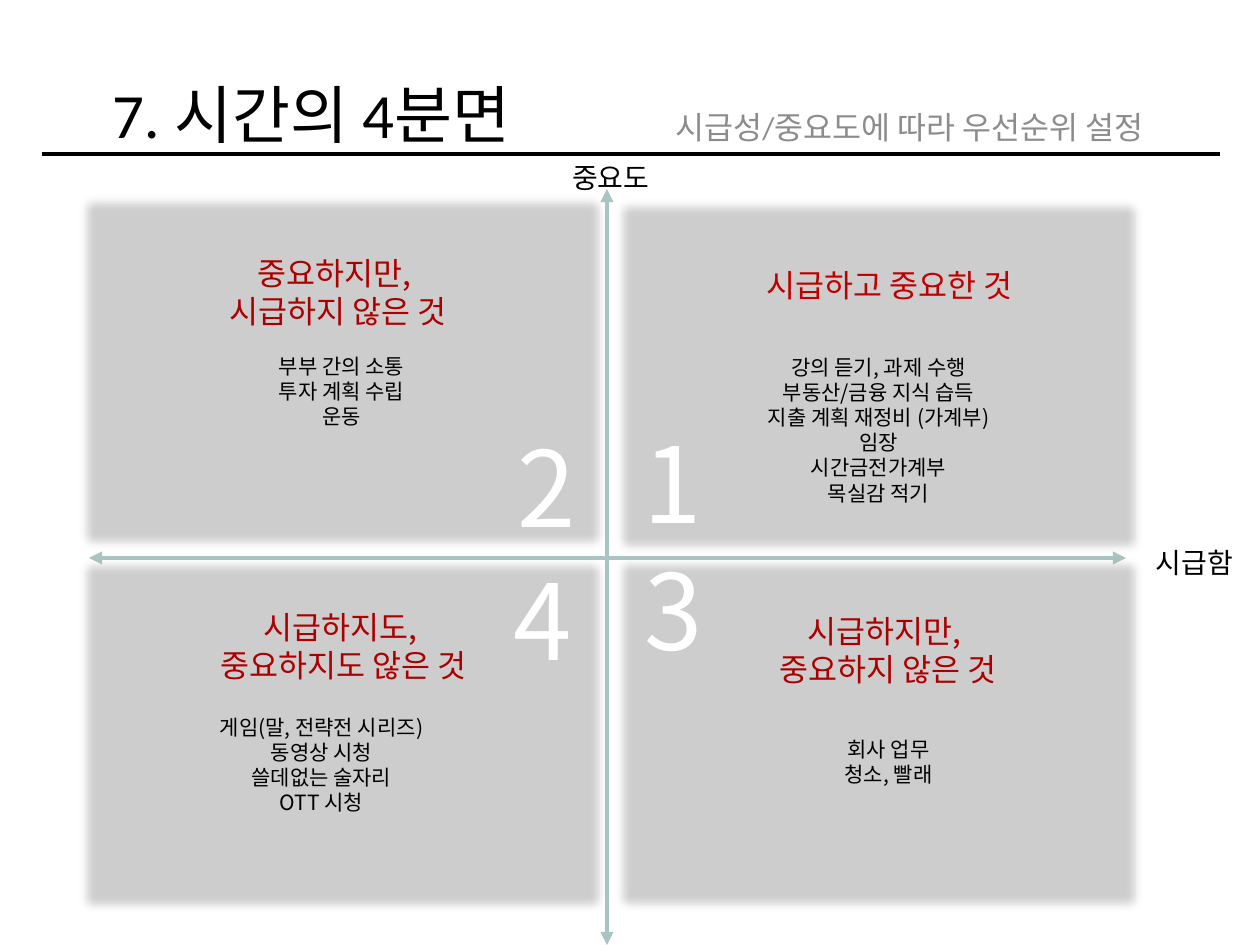
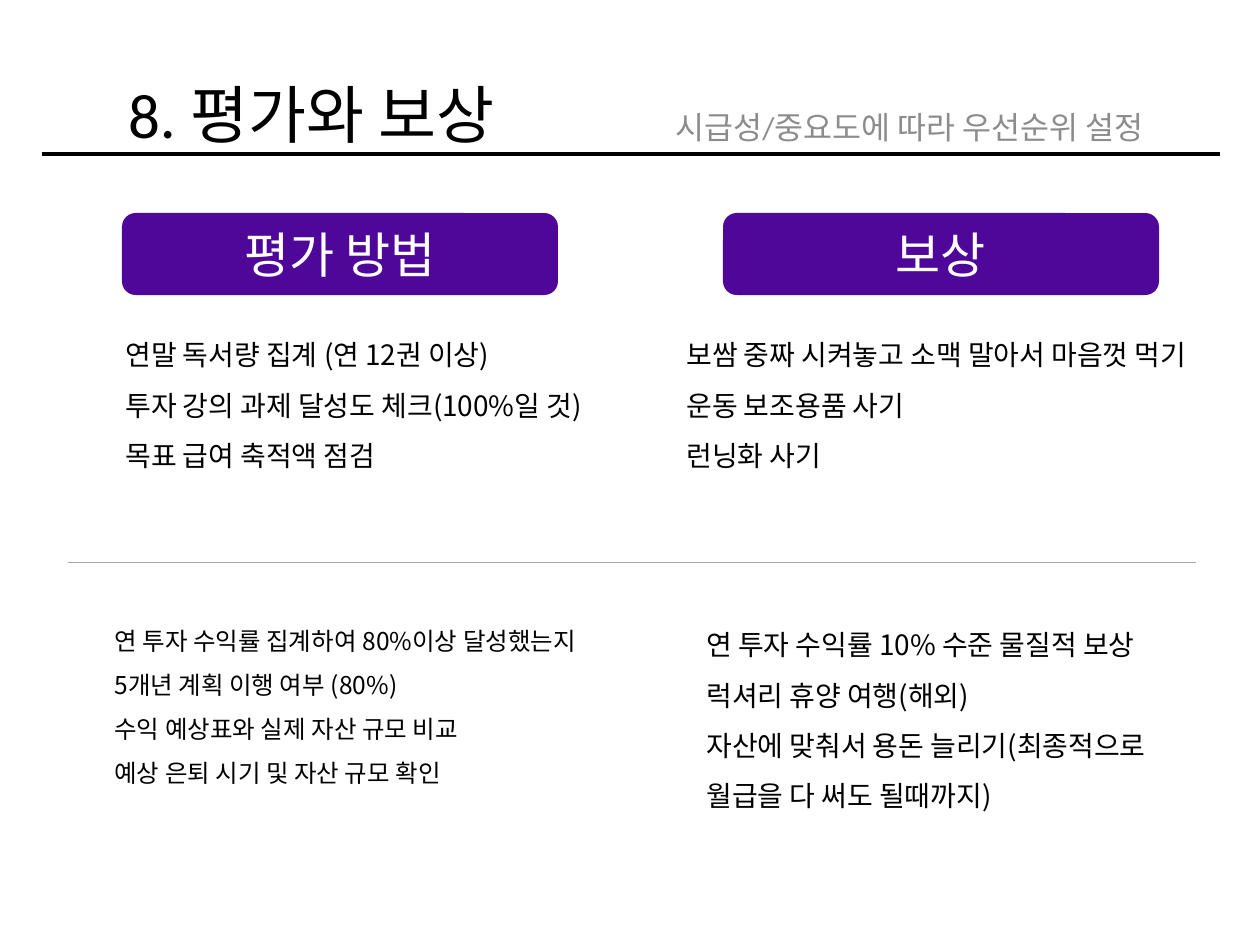
from dataclasses import dataclass
from lxml.etree import SubElement
from pptx import Presentation
from pptx.dml.color import RGBColor
from pptx.enum.shapes import MSO_CONNECTOR, MSO_SHAPE
from pptx.enum.text import MSO_ANCHOR, MSO_AUTO_SIZE, PP_ALIGN
from pptx.oxml.ns import qn
from pptx.util import Emu, Pt


@dataclass(frozen=True)
class Theme:
    title_font: str = "Calibri"
    body_font: str = "Noto Sans CJK KR"
    ink: str = "000000"
    white: str = "FFFFFF"
    muted: str = "8C8C8C"
    gray: str = "A6A6A6"
    axis: str = "AAC3C3"
    purple: str = "4F0799"
    red: str = "AC0000"
    bright_red: str = "C00000"
    title: int = 36
    pill: int = 28
    head: int = 18
    label: int = 16
    small: int = 14
    item: int = 12
    number: int = 60


T = Theme()
PX = 914400 / 126  # EMU in one pixel

# Content
SUBTITLE = "시급성/중요도에 따라 우선순위 설정"
TITLES = ["7. 시간의 4분면", "8. 평가와 보상"]

# Each quadrant: box corner, then text and place of number, head and items
QUADRANTS = [
    dict(box=(615, 199), number="1", number_at=(556, 412),
         head=["시급하고 중요한 것"], head_at=(673, 260, 432),
         head_color=T.bright_red, items_at=(653, 348),
         items=["강의 듣기, 과제 수행", "부동산/금융 지식 습득",
                "지출 계획 재정비 (가계부)", "임장", "시간금전가계부", "목실감 적기"]),
    dict(box=(79, 195), number="2", number_at=(430, 416),
         head=["중요하지만,", " 시급하지 않은 것"], head_at=(118, 248, 432),
         head_color=T.red, items_at=(116, 347),
         items=["부부 간의 소통", "투자 계획 수립", "운동"]),
    dict(box=(615, 557), number="3", number_at=(557, 539),
         head=["시급하지만,", " 중요하지 않은 것"], head_at=(685, 606, 398),
         head_color=T.red, items_at=(663, 730),
         items=["회사 업무", "청소, 빨래"]),
    dict(box=(79, 558), number="4", number_at=(426, 549),
         head=["시급하지도,", " 중요하지도 않은 것"], head_at=(141, 602, 398),
         head_color=T.red, items_at=(96, 708),
         items=["게임(말, 전략전 시리즈)", "동영상 시청", "쓸데없는 술자리", "OTT 시청"]),
]
AXIS_LABELS = [("중요도", (514, 154, 193, 47)), ("시급함", (1114, 539, 161, 47))]

PILLS = [("평가 방법", 122), ("보상", 723)]
LISTS = [
    ((102, 315, 621), T.label,
     ["연말 독서량 집계 (연 12권 이상)", "투자 강의 과제 달성도 체크(100%일 것)",
      "목표 급여 축적액 점검"]),
    ((663, 315, 651), T.label,
     ["보쌈 중짜 시켜놓고 소맥 말아서 마음껏 먹기", "운동 보조용품 사기", "런닝화 사기"]),
    ((91, 605, 621), T.small,
     ["연 투자 수익률 집계하여 80%이상 달성했는지", "5개년 계획 이행 여부 (80%)",
      "수익 예상표와 실제 자산 규모 비교", "예상 은퇴 시기 및 자산 규모 확인"]),
    ((683, 605, 537), T.label,
     ["연 투자 수익률 10% 수준 물질적 보상", "럭셔리 휴양 여행(해외)",
      "자산에 맞춰서 용돈 늘리기(최종적으로", "월급을 다 써도 될때까지)"]),
]


def emu(*values):
    return [Emu(round(v * PX)) for v in values]


def rgb(color):
    return RGBColor.from_string(color)


def write(tf, lines, size, color=T.ink, font=T.body_font, align=PP_ALIGN.CENTER,
          anchor=MSO_ANCHOR.TOP, spacing=None, indent=0, grow=False):
    """Fill a text frame, one paragraph a line."""
    tf.word_wrap = True
    tf.vertical_anchor = anchor
    tf.auto_size = MSO_AUTO_SIZE.SHAPE_TO_FIT_TEXT if grow else MSO_AUTO_SIZE.NONE
    for i, line in enumerate(lines):
        p = tf.paragraphs[0] if i == 0 else tf.add_paragraph()
        p.alignment = align
        if spacing:
            p.line_spacing = spacing
        if indent:
            p._p.get_or_add_pPr().set("marL", str(emu(indent)[0]))
        r = p.add_run()
        r.text = line
        r.font.size = Pt(size)
        r.font.name = font
        r.font.color.rgb = rgb(color)
        SubElement(r._r.get_or_add_rPr(), qn("a:ea"), typeface=T.body_font)


def add_text(s, box, lines, size, **fmt):
    write(s.shapes.add_textbox(*emu(*box)).text_frame, lines, size, **fmt)


def add_line(s, start, end, color, width, arrows=False):
    c = s.shapes.add_connector(MSO_CONNECTOR.STRAIGHT, *emu(*start, *end))
    c.line.color.rgb = rgb(color)
    c.line.width = Pt(width)
    if arrows:
        for end_tag in ("a:headEnd", "a:tailEnd"):
            SubElement(c.line._get_or_add_ln(), qn(end_tag), type="triangle")
    SubElement(c._element.spPr, qn("a:effectLst"))


def add_round_box(s, box, color):
    sp = s.shapes.add_shape(MSO_SHAPE.ROUNDED_RECTANGLE, *emu(*box))
    sp.shadow.inherit = False
    sp.fill.solid()
    sp.fill.fore_color.rgb = rgb(color)
    sp.line.fill.background()
    return sp


def add_soft_box(s, box):
    """Translucent box with soft edges."""
    sp = add_round_box(s, box, T.gray)
    sp.adjustments[0] = 0.017
    spPr = sp._element.spPr
    SubElement(spPr.find(".//" + qn("a:srgbClr")), qn("a:alpha"), val="54000")
    SubElement(spPr.find(qn("a:effectLst")), qn("a:softEdge"), rad="63500")


def new_slide(prs, title):
    """Slide with the shared title, subtitle and rule."""
    s = prs.slides.add_slide(prs.slide_layouts[6])
    add_text(s, (25, 53, 572, 105), [title], T.title, font=T.title_font,
             anchor=MSO_ANCHOR.BOTTOM, spacing=0.9)
    add_text(s, (663, 97, 572, 59), [SUBTITLE], T.head, color=T.muted,
             font=T.title_font, align=PP_ALIGN.LEFT, anchor=MSO_ANCHOR.MIDDLE)
    add_line(s, (42, 154), (1220, 154), T.ink, 2.25)
    return s


def build_quadrants(prs):
    s = new_slide(prs, TITLES[0])
    # Axes
    add_line(s, (89, 558), (1126, 558), T.axis, 2.5, arrows=True)
    add_line(s, (607, 189), (607, 945), T.axis, 2.5, arrows=True)
    # Boxes lie under all text
    for q in QUADRANTS:
        add_soft_box(s, (*q["box"], 528, 355))
    for q in QUADRANTS:
        add_text(s, (*q["items_at"], 451, 13 + 25 * len(q["items"])), q["items"],
                 T.item, grow=True)
        add_text(s, (*q["head_at"], 13 + 38 * len(q["head"])), q["head"],
                 T.head, color=q["head_color"], grow=True)
        add_text(s, (*q["number_at"], 233, 140), [q["number"]],
                 T.number, color=T.white, grow=True)
    for label, box in AXIS_LABELS:
        add_text(s, box, [label], T.label, grow=True)


def build_rewards(prs):
    s = new_slide(prs, TITLES[1])
    # Column heads
    for label, left in PILLS:
        sp = add_round_box(s, (left, 213, 436, 82), T.purple)
        write(sp.text_frame, [label], T.pill, color=T.white, anchor=MSO_ANCHOR.MIDDLE)
    # Lists above and below the divider
    add_line(s, (68, 562), (1196, 562), T.gray, 0.5)
    for box, size, lines in LISTS:
        height = 13 + round(size * 3.15) * len(lines)
        add_text(s, (*box, height), lines, size, align=PP_ALIGN.LEFT,
                 spacing=1.5, indent=11, grow=True)


prs = Presentation()
prs.slide_width, prs.slide_height = emu(1260, 945)
build_quadrants(prs)
build_rewards(prs)
prs.save("out.pptx")
